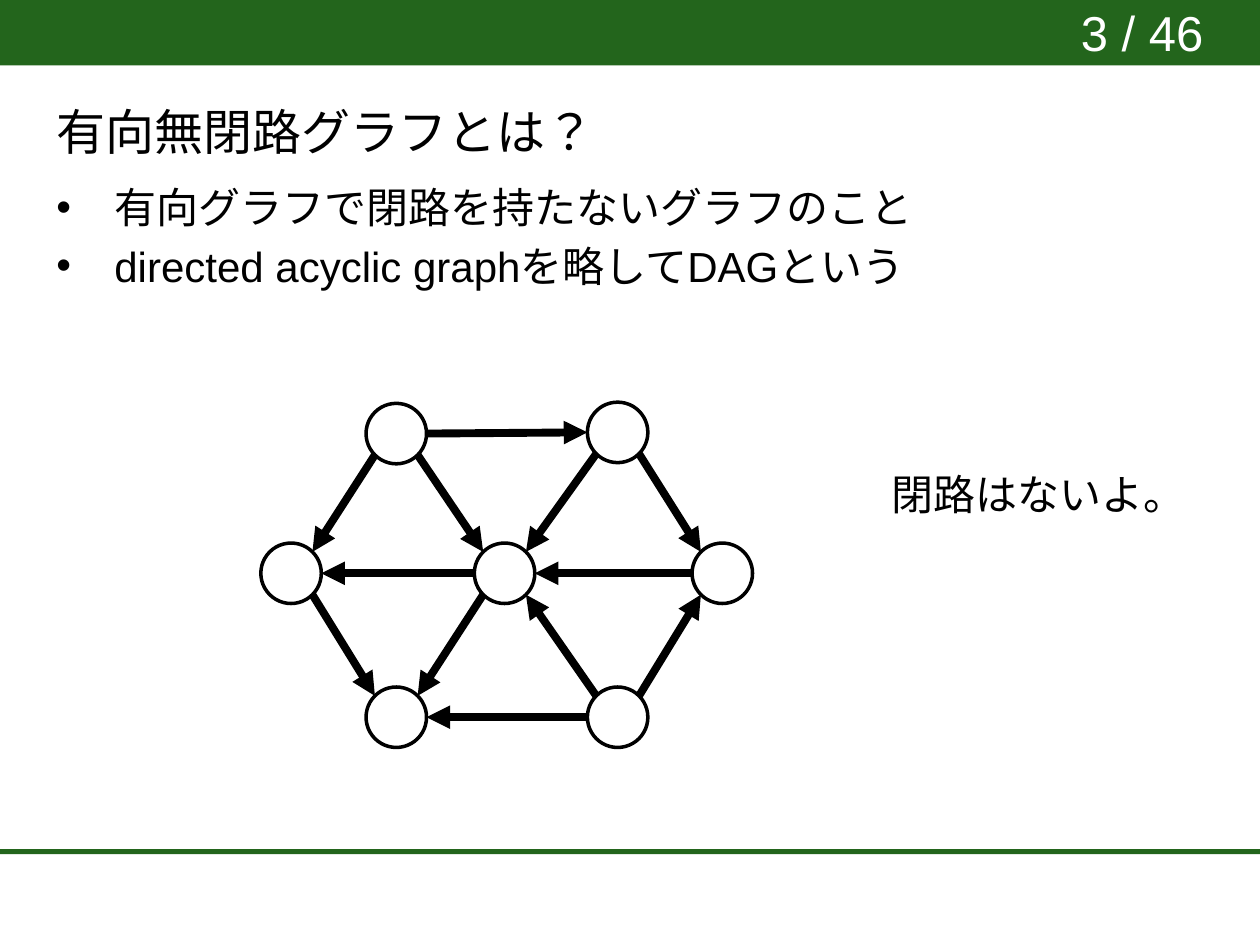
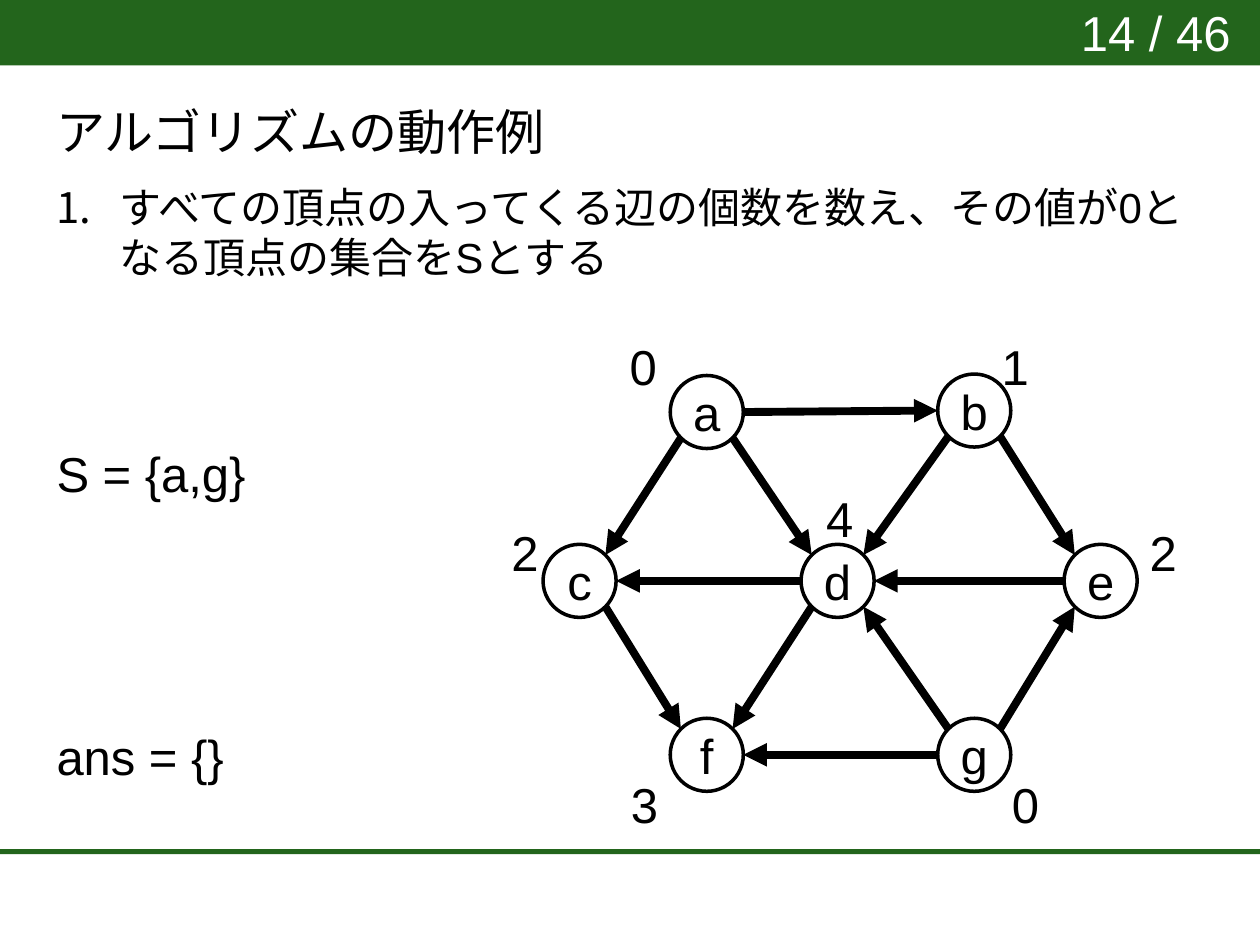
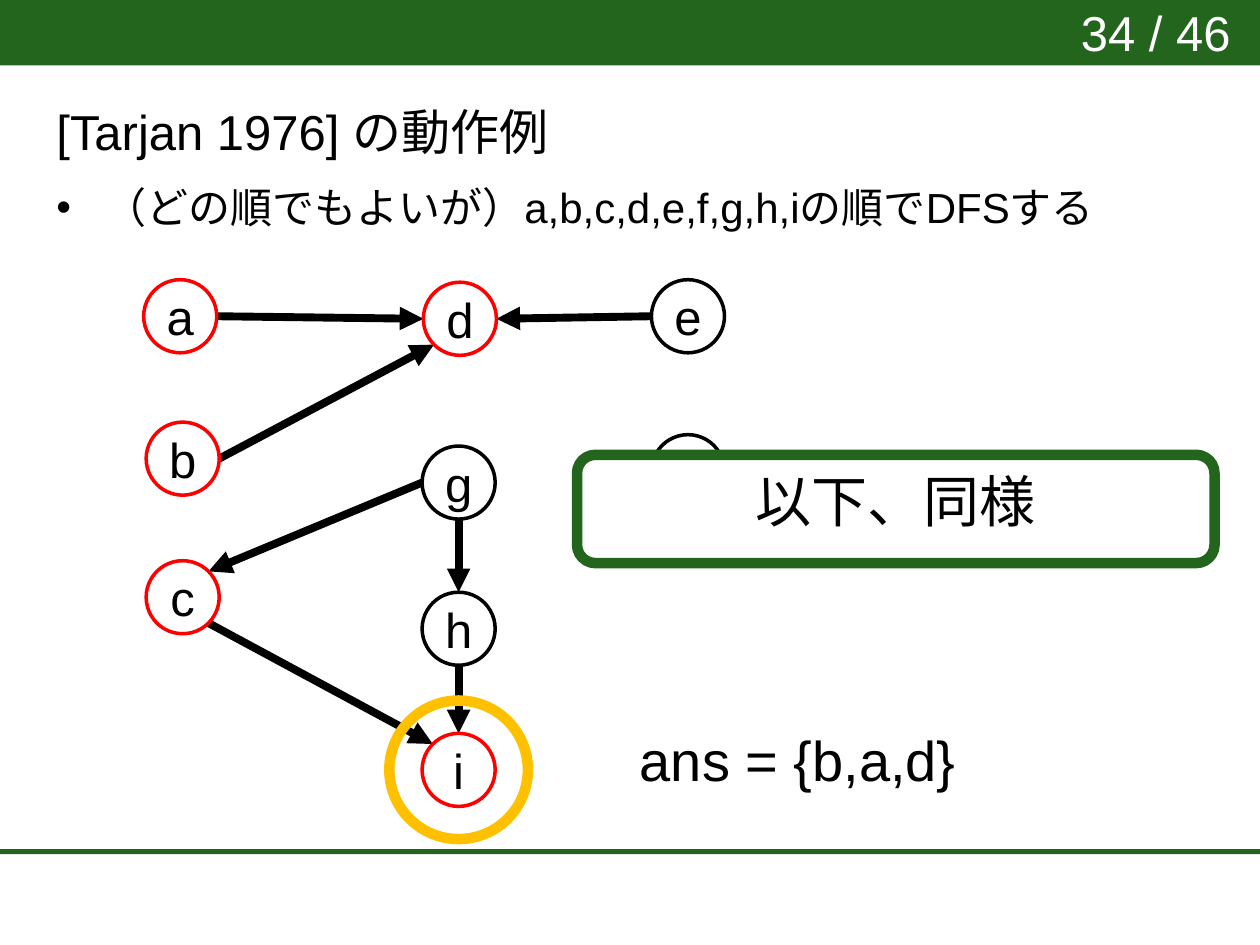
from collections import Counter
from dataclasses import dataclass
from math import sqrt

from lxml import etree
from pptx import Presentation
from pptx.dml.color import RGBColor
from pptx.enum.lang import MSO_LANGUAGE_ID
from pptx.enum.shapes import MSO_CONNECTOR, MSO_SHAPE
from pptx.enum.text import MSO_ANCHOR, PP_ALIGN
from pptx.oxml.ns import qn
from pptx.util import Inches, Pt

RECT, ELLIPSE = MSO_SHAPE.RECTANGLE, MSO_SHAPE.OVAL
CALLOUT = MSO_SHAPE.ROUNDED_RECTANGULAR_CALLOUT
STRAIGHT = MSO_CONNECTOR.STRAIGHT
TOP, MIDDLE = MSO_ANCHOR.TOP, MSO_ANCHOR.MIDDLE
LEFT, CENTER = PP_ALIGN.LEFT, PP_ALIGN.CENTER
JAPANESE = MSO_LANGUAGE_ID.JAPANESE


@dataclass(frozen=True)
class Theme:
    width: float = 10
    height: float = 7.5
    margin: float = 0.35
    font: str = "Arial"
    green: str = "23651C"
    black: str = "000000"
    white: str = "FFFFFF"
    red: str = "FF0000"
    amber: str = "FFC000"
    body: int = 24
    title: int = 28
    large: int = 32
    node_line: float = 2
    edge_line: float = 4.5
    accent_line: float = 6


T = Theme()
CONTENT_W = T.width - 2 * T.margin
LABEL_W, LABEL_H = 0.42, 0.57
PAGES = 46

# Content: node centres of the sample DAG, in node diameters from node c
DAG_NODES = {
    "a": (1.74, -2.31), "b": (5.4, -2.33),
    "c": (0, 0), "d": (3.53, 0), "e": (7.13, 0),
    "f": (1.74, 2.38), "g": (5.4, 2.38),
}
# An edge is its two nodes, the side it leaves and, if not opposite, the side it enters
DAG_EDGES = ["ab E", "ac SW", "ad SE", "bd SW", "be SE", "cf SE",
             "df SW", "ed W", "dc W", "gf W", "gd NW", "ge NE"]
# Offset of each in-degree label from its node centre
DEGREE_OFFSETS = {
    "a": (-0.5, -0.36), "b": (0.33, -0.35), "c": (-0.43, -0.23), "d": (0.02, -0.5),
    "e": (0.5, -0.23), "f": (-0.49, 0.39), "g": (0.41, 0.39),
}

DFS_NODES = {
    "a": (1.43, 2.51), "b": (1.45, 3.64), "c": (1.45, 4.74),
    "d": (3.65, 2.53), "g": (3.64, 3.83), "h": (3.64, 4.99), "i": (3.64, 6.11),
    "e": (5.46, 2.51), "f": (5.46, 3.74),
}
DFS_EDGES = ["ad E", "bd E SW", "ed W", "gc W NE", "gh S", "ci SE", "hi S"]
VISITED = "abcdi"

DAG_PAGE = dict(number=3, title="有向無閉路グラフとは？", indent=0.46,
                items=["有向グラフで閉路を持たないグラフのこと",
                       "directed acyclic graphを略してDAGという"])
ALGORITHM_PAGE = dict(number=14, title="アルゴリズムの動作例", indent=0.5, numbered=True,
                      items=["すべての頂点の入ってくる辺の個数を数え、"
                             "その値が0となる頂点の集合をSとする"])
TARJAN_PAGE = dict(number=34, title="[Tarjan 1976] の動作例", indent=0.38,
                   items=["（どの順でもよいが）a,b,c,d,e,f,g,h,iの順でDFSする"])

DIAGONAL = 1 / sqrt(2)
SIDES = {"N": (0, -1), "S": (0, 1), "W": (-1, 0), "E": (1, 0),
         "NW": (-DIAGONAL, -DIAGONAL), "NE": (DIAGONAL, -DIAGONAL),
         "SW": (-DIAGONAL, DIAGONAL), "SE": (DIAGONAL, DIAGONAL)}
OPPOSITE = str.maketrans("NSWE", "SNEW")


# Basic parts
def rgb(color):
    return RGBColor.from_string(color)


def format_text(tf, size, color=T.black, align=LEFT):
    for p in tf.paragraphs:
        p.alignment = align
        for r in p.runs:
            r.font.name, r.font.size = T.font, Pt(size)
            r.font.color.rgb = rgb(color)
            r.font.language_id = JAPANESE


def add_text(s, text, x, y, w, h, size=T.title, color=T.black,
             anchor=TOP, align=LEFT, wrap=False):
    tf = s.shapes.add_textbox(Inches(x), Inches(y), Inches(w), Inches(h)).text_frame
    tf.text = text
    tf.word_wrap = wrap
    tf.vertical_anchor = anchor
    format_text(tf, size, color, align)
    return tf


def add_shape(s, kind, x, y, w, h, fill=None, line=None, weight=T.node_line):
    sp = s.shapes.add_shape(kind, Inches(x), Inches(y), Inches(w), Inches(h))
    sp.shadow.inherit = False
    if fill:
        sp.fill.solid()
        sp.fill.fore_color.rgb = rgb(fill)
    else:
        sp.fill.background()
    if line:
        sp.line.color.rgb = rgb(line)
        sp.line.width = Pt(weight)
    else:
        sp.line.fill.background()
    return sp


def add_circle(s, center, size, line, weight=T.node_line):
    x, y = center
    return add_shape(s, ELLIPSE, x - size / 2, y - size / 2, size, size, None, line, weight)


def add_arrow(s, start, end):
    c = s.shapes.add_connector(STRAIGHT, *(Inches(v) for v in (*start, *end)))
    c.line.color.rgb = rgb(T.black)
    c.line.width = Pt(T.edge_line)
    etree.SubElement(c.line._get_or_add_ln(), qn("a:tailEnd"), type="triangle")
    etree.SubElement(c._element.spPr, qn("a:effectLst"))


# Page frame: bands, page number, title and list
def add_list(s, items, indent, numbered):
    tf = add_text(s, "\n".join(items), T.margin, 1.39, CONTENT_W, 5.28, T.body, wrap=True)
    for i, p in enumerate(tf.paragraphs):
        pPr = p._p.get_or_add_pPr()
        pPr.set("marL", str(Inches(indent)))
        pPr.set("indent", str(-Inches(indent)))
        if numbered:
            etree.SubElement(pPr, qn("a:buAutoNum"), type="arabicPeriod")
        else:
            etree.SubElement(pPr, qn("a:buFont"), typeface=T.font)
            etree.SubElement(pPr, qn("a:buChar"), char="•")
        if i:
            p.space_before = Pt(0.2 * T.body)


def add_page(prs, number, title, items, indent, numbered=False):
    s = prs.slides.add_slide(prs.slide_layouts[6])
    add_shape(s, RECT, 0, 0, T.width, 0.52, T.green)
    add_shape(s, RECT, 0, 6.74, T.width, 0.04, T.green)
    add_text(s, title, T.margin, 0.76, CONTENT_W, 0.56, anchor=MIDDLE, wrap=True)
    add_list(s, items, indent, numbered)
    add_text(s, f"{number} / {PAGES}", 8.48, -0.03, 1.52, 0.53, color=T.white, wrap=True)
    return s


# Graphs
def scale_nodes(nodes, origin, size):
    return {n: (origin[0] + x * size, origin[1] + y * size) for n, (x, y) in nodes.items()}


def side_point(center, side, size):
    return tuple(c + d * size / 2 for c, d in zip(center, SIDES[side]))


def add_graph(s, centers, edges, size, labels=True, marked=""):
    for edge in edges:
        (tail, head), leave, *enter = edge.split()
        arrive = enter[0] if enter else leave.translate(OPPOSITE)
        add_arrow(s, side_point(centers[tail], leave, size),
                  side_point(centers[head], arrive, size))
    for name, center in centers.items():
        sp = add_circle(s, center, size, T.red if name in marked else T.black)
        if labels:
            tf = sp.text_frame
            tf.text = name
            tf.margin_left = tf.margin_right = tf.margin_top = tf.margin_bottom = 0
            tf.word_wrap = False
            tf.vertical_anchor = MIDDLE
            format_text(tf, T.title, align=CENTER)


def add_degrees(s, centers, edges):
    degrees = Counter(edge[1] for edge in edges)
    for name, (dx, dy) in DEGREE_OFFSETS.items():
        x, y = centers[name]
        add_text(s, str(degrees[name]), x + dx - LABEL_W / 2, y + dy - LABEL_H / 2,
                 LABEL_W, LABEL_H)


# Slides
def build_dag(prs):
    s = add_page(prs, **DAG_PAGE)
    size = 0.48
    add_graph(s, scale_nodes(DAG_NODES, (2.31, 4.55), size), DAG_EDGES, size, labels=False)
    add_text(s, "閉路はないよ。", 6.98, 3.67, 2.35, 0.5, T.body)


def build_algorithm(prs):
    s = add_page(prs, **ALGORITHM_PAGE)
    size = 0.58
    centers = scale_nodes(DAG_NODES, (4.6, 4.61), size)
    add_graph(s, centers, DAG_EDGES, size)
    add_degrees(s, centers, DAG_EDGES)
    add_text(s, "S = {a,g}", T.margin, 3.47, 1.72, LABEL_H)
    add_text(s, "ans = {}", T.margin, 5.72, 1.55, LABEL_H)


def build_tarjan(prs):
    s = add_page(prs, **TARJAN_PAGE)
    add_graph(s, DFS_NODES, DFS_EDGES, 0.58, marked=VISITED)
    add_text(s, "ans = {b,a,d}", 4.98, 5.71, 2.83, 0.64, T.large)
    add_circle(s, DFS_NODES["i"], 1.1, T.amber, T.accent_line)
    sp = add_shape(s, CALLOUT, 4.58, 3.61, 5.06, 0.86, T.white, T.green, T.accent_line)
    for i, value in enumerate((-0.5, 0.13, 0.17)):
        sp.adjustments[i] = value
    sp.text_frame.text = "以下、同様"
    sp.text_frame.vertical_anchor = TOP
    format_text(sp.text_frame, T.large, align=CENTER)


def main():
    prs = Presentation()
    prs.slide_width, prs.slide_height = Inches(T.width), Inches(T.height)
    for build in (build_dag, build_algorithm, build_tarjan):
        build(prs)
    prs.save("out.pptx")


if __name__ == "__main__":
    main()
